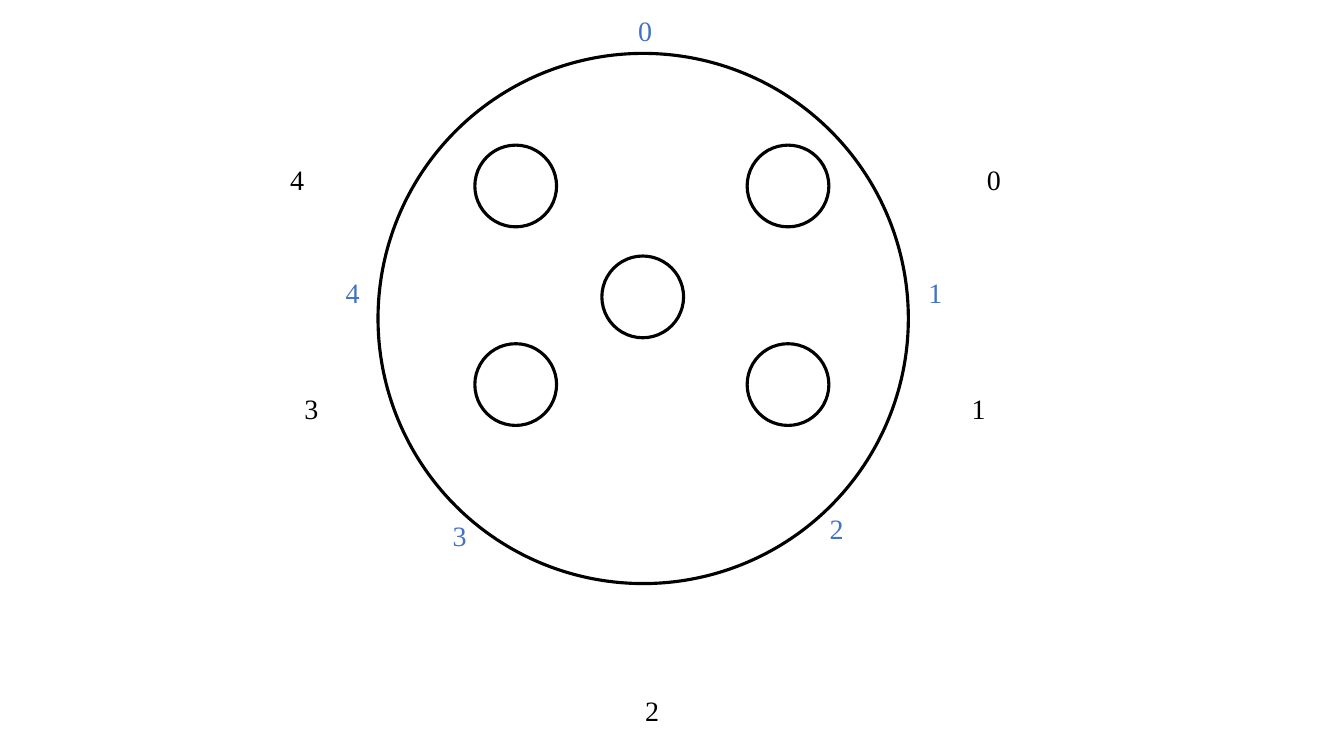
"""Build a slide with a large circle, five inner circles and two rings of numbers."""
import itertools

import pptx
import pptx.dml.color
import pptx.enum.shapes
import pptx.enum.text
import pptx.util

WIDTH = pptx.util.Inches(13.33)
HEIGHT = pptx.util.Inches(7.5)
COLOURS = {"outline": "000000", "inner ring": "4472C4", "outer ring": "000000"}
FONT = "Times New Roman"

LARGE_DIAMETER = 39.46
SMALL_DIAMETER = 6.08
LARGE_CENTRE = (47.86, 42.13)
MIDDLE_CENTRE = (47.82, 39.27)
CORNER_COLUMNS = (38.37, 58.63)
CORNER_ROWS = (24.6, 50.87)
LABEL_SIZE = (3.23, 5.87)

LABEL_CENTRES = {
    "inner ring": [(48.35, 4.13), (69.95, 38.67), (62.6, 70), (34.55, 70.93), (26.59, 38.67)],
    "outer ring": [(74.31, 23.73), (73.18, 54.13), (48.87, 94), (23.52, 54.13), (22.47, 23.73)],
}


def across(percent):
    """Turn a percentage of the slide width into a length."""
    return round(WIDTH * percent / 100)


def down(percent):
    """Turn a percentage of the slide height into a length."""
    return round(HEIGHT * percent / 100)


def centred_box(centre, width, height):
    """Return left, top, width and height of a box around a centre."""
    column, row = centre
    return across(column) - width // 2, down(row) - height // 2, width, height


def add_circle(slide, centre, diameter):
    """Add an unfilled circle whose diameter is a percentage of the slide width."""
    size = across(diameter)
    circle = slide.shapes.add_shape(
        pptx.enum.shapes.MSO_SHAPE.OVAL, *centred_box(centre, size, size))
    circle.shadow.inherit = False
    circle.fill.background()
    circle.line.color.rgb = pptx.dml.color.RGBColor.from_string(COLOURS["outline"])
    circle.line.width = pptx.util.Pt(2.25)


def add_label(slide, text, centre, colour):
    """Add a number in a text box around a centre."""
    width, height = LABEL_SIZE
    label = slide.shapes.add_textbox(*centred_box(centre, across(width), down(height)))
    text_frame = label.text_frame
    text_frame.word_wrap = True
    text_frame.auto_size = pptx.enum.text.MSO_AUTO_SIZE.SHAPE_TO_FIT_TEXT
    text_frame.text = text
    font = text_frame.paragraphs[0].runs[0].font
    font.name = FONT
    font.size = pptx.util.Pt(20)
    font.color.rgb = pptx.dml.color.RGBColor.from_string(colour)


def main():
    """Build and save the slide."""
    presentation = pptx.Presentation()
    presentation.slide_width = WIDTH
    presentation.slide_height = HEIGHT
    slide = presentation.slides.add_slide(presentation.slide_layouts[6])

    add_circle(slide, LARGE_CENTRE, LARGE_DIAMETER)
    add_circle(slide, MIDDLE_CENTRE, SMALL_DIAMETER)
    for row, column in itertools.product(CORNER_ROWS, CORNER_COLUMNS):
        add_circle(slide, (column, row), SMALL_DIAMETER)

    for ring, centres in LABEL_CENTRES.items():
        for number, centre in enumerate(centres):
            add_label(slide, str(number), centre, COLOURS[ring])

    presentation.save("out.pptx")


if __name__ == "__main__":
    main()
